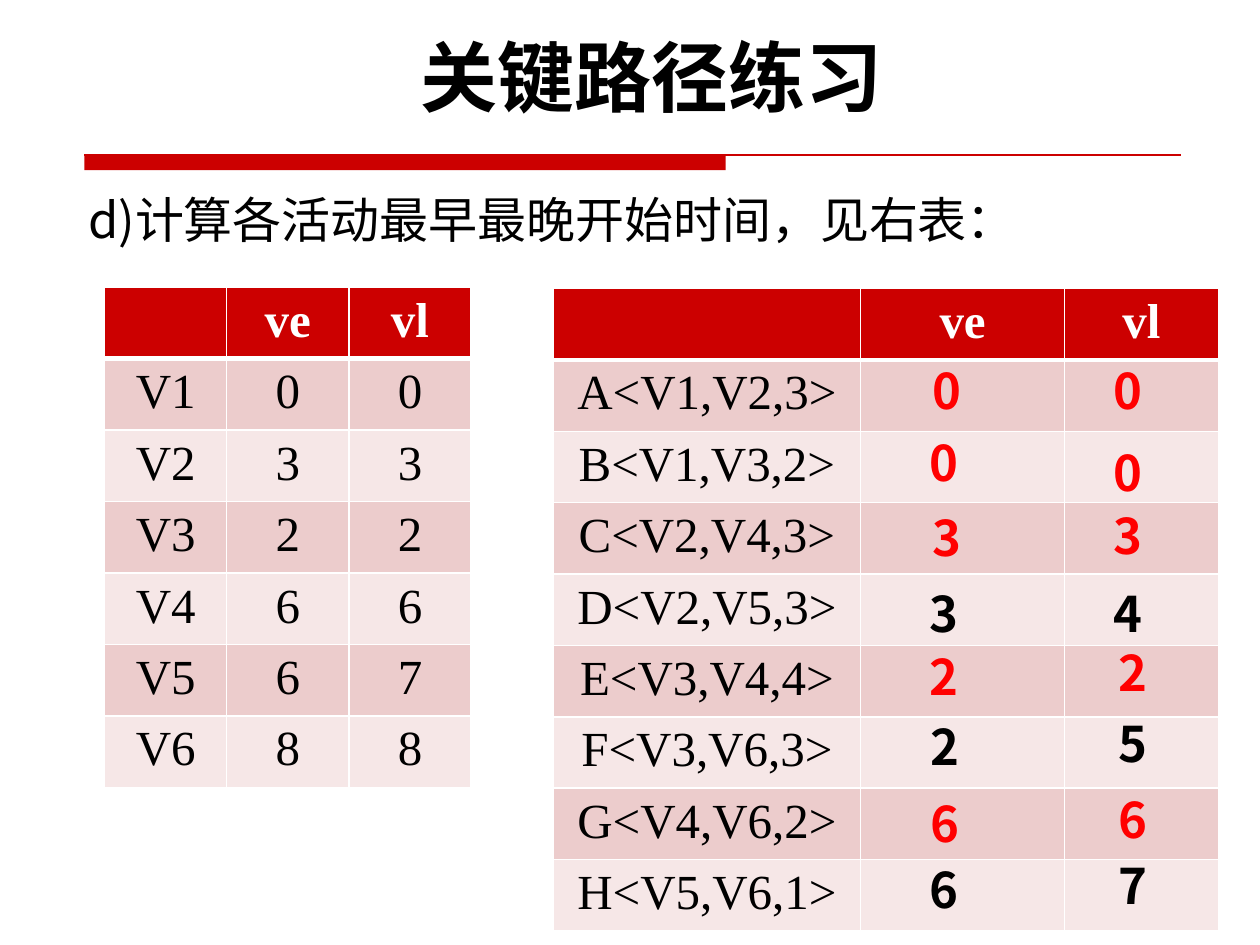
import pptx
import pptx.util
import pptx.dml.color
import pptx.enum.shapes
import pptx.enum.text
import pptx.oxml
import pptx.oxml.ns
from lxml import etree

Inches = pptx.util.Inches
Align = pptx.enum.text.PP_ALIGN
Anchor = pptx.enum.text.MSO_ANCHOR

SANS, SERIF = "Noto Sans CJK SC", "Times New Roman"
RED, BRIGHT_RED, BLACK, WHITE = "CC0000", "FF0000", "000000", "FFFFFF"
BANDS = ["ECCCCC", "F6E7E7"]

TITLE = "关键路径练习"
QUESTION = "d)计算各活动最早最晚开始时间，见右表："
HEADER = ["", "ve", "vl"]
EVENTS = [
    ["V1", "0", "0"],
    ["V2", "3", "3"],
    ["V3", "2", "2"],
    ["V4", "6", "6"],
    ["V5", "6", "7"],
    ["V6", "8", "8"],
]
ACTIVITIES = ["A<V1,V2,3>", "B<V1,V3,2>", "C<V2,V4,3>", "D<V2,V5,3>",
              "E<V3,V4,4>", "F<V3,V6,3>", "G<V4,V6,2>", "H<V5,V6,1>"]
EARLIEST = [("0", 7.3, 2.81), ("0", 7.28, 3.38), ("3", 7.3, 3.98), ("3", 7.28, 4.58),
            ("2", 7.28, 5.08), ("2", 7.29, 5.64), ("6", 7.29, 6.25), ("6", 7.28, 6.77)]
LATEST = [("0", 8.74, 2.81), ("0", 8.74, 3.46), ("3", 8.74, 3.96), ("4", 8.74, 4.58),
          ("2", 8.78, 5.05), ("5", 8.78, 5.61), ("6", 8.78, 6.22), ("7", 8.78, 6.74)]


def color(value):
    return pptx.dml.color.RGBColor.from_string(value)


def write(frame, text, size=28, font=SANS, ink=BLACK, bold=False, align=Align.LEFT):
    paragraph = frame.paragraphs[0]
    paragraph.alignment = align
    paragraph.space_before = pptx.util.Pt(0)
    run = paragraph.add_run()
    run.text = text
    run.font.size = pptx.util.Pt(size)
    run.font.name = font
    run.font.bold = bold
    run.font.color.rgb = color(ink)
    east_asian = etree.SubElement(run.font._element, pptx.oxml.ns.qn("a:ea"))
    east_asian.set("typeface", SANS)


def place(shape, left, top, width, height):
    shape.left, shape.top = Inches(left), Inches(top)
    shape.width, shape.height = Inches(width), Inches(height)


def add_borders(cell, bottom):
    properties = cell._tc.get_or_add_tcPr()
    for side, width in [("L", 1), ("R", 1), ("T", 1), ("B", bottom)]:
        properties.append(pptx.oxml.parse_xml(
            f'<a:ln{side} {pptx.oxml.ns.nsdecls("a")} w="{pptx.util.Pt(width)}">'
            f'<a:solidFill><a:srgbClr val="{WHITE}"/></a:solidFill></a:ln{side}>'))


def add_grid(slide, rows, left, top, widths, height):
    graphic = slide.shapes.add_table(len(rows), len(widths), Inches(left), Inches(top),
                                     Inches(sum(widths)), Inches(height))
    table = graphic.table
    table.first_row = table.horz_banding = False
    for column, width in zip(table.columns, widths):
        column.width = Inches(width)
    for index, texts in enumerate(rows):
        is_header = index == 0
        table.rows[index].height = Inches(height / len(rows))
        for cell, text in zip(table.rows[index].cells, texts):
            add_borders(cell, 3 if is_header else 1)
            cell.fill.solid()
            cell.fill.fore_color.rgb = color(RED if is_header else BANDS[(index - 1) % 2])
            if text:
                write(cell.text_frame, text, font=SERIF, bold=is_header,
                      ink=WHITE if is_header else BLACK, align=Align.CENTER)


def add_rule(slide):
    bar = slide.shapes.add_shape(pptx.enum.shapes.MSO_SHAPE.RECTANGLE,
                                 Inches(0.67), Inches(1.23), Inches(5.09), Inches(0.12))
    bar.shadow.inherit = False
    bar.fill.solid()
    bar.fill.fore_color.rgb = color(RED)
    bar.line.fill.background()
    line = slide.shapes.add_connector(pptx.enum.shapes.MSO_CONNECTOR.STRAIGHT,
                                      Inches(0.67), Inches(1.23), Inches(9.37), Inches(1.23))
    line.line.color.rgb = color(RED)
    line.line.width = pptx.util.Pt(0.75)
    etree.SubElement(line._element.spPr, pptx.oxml.ns.qn("a:effectLst"))


def add_headings(slide):
    title, body = slide.shapes.title, slide.placeholders[1]
    place(title, 0.55, 0.18, 9.25, 0.84)
    title.text_frame.vertical_anchor = Anchor.MIDDLE
    write(title.text_frame, TITLE, size=44, font="Cabin", bold=True, align=Align.CENTER)

    place(body, 0.6, 1.32, 9.2, 0.84)
    body.text_frame.vertical_anchor = Anchor.MIDDLE
    properties = body.text_frame.paragraphs[0]._p.get_or_add_pPr()
    properties.set("marL", "0")
    properties.set("indent", "0")
    etree.SubElement(properties, pptx.oxml.ns.qn("a:buNone"))
    write(body.text_frame, QUESTION)
    for shape in (title, body):
        shape.text_frame.auto_size = pptx.enum.text.MSO_AUTO_SIZE.NONE


def add_answers(slide):
    for earliest, latest in zip(EARLIEST, LATEST):
        ink = BRIGHT_RED if earliest[0] == latest[0] else BLACK
        for text, left, top in (earliest, latest):
            box = slide.shapes.add_textbox(Inches(left), Inches(top), Inches(0.79), Inches(0.57))
            box.text_frame.word_wrap = True
            write(box.text_frame, text, ink=ink, bold=True)


def main():
    presentation = pptx.Presentation()
    presentation.slide_width, presentation.slide_height = Inches(10), Inches(7.5)
    slide = presentation.slides.add_slide(presentation.slide_layouts[1])
    add_rule(slide)
    add_headings(slide)
    add_grid(slide, [HEADER] + [[name, "", ""] for name in ACTIVITIES],
             4.39, 2.29, [2.44, 1.62, 1.22], 5.1)
    add_grid(slide, [HEADER] + EVENTS, 0.83, 2.28, [0.97] * 3, 3.97)
    add_answers(slide)
    presentation.save("out.pptx")


if __name__ == "__main__":
    main()
